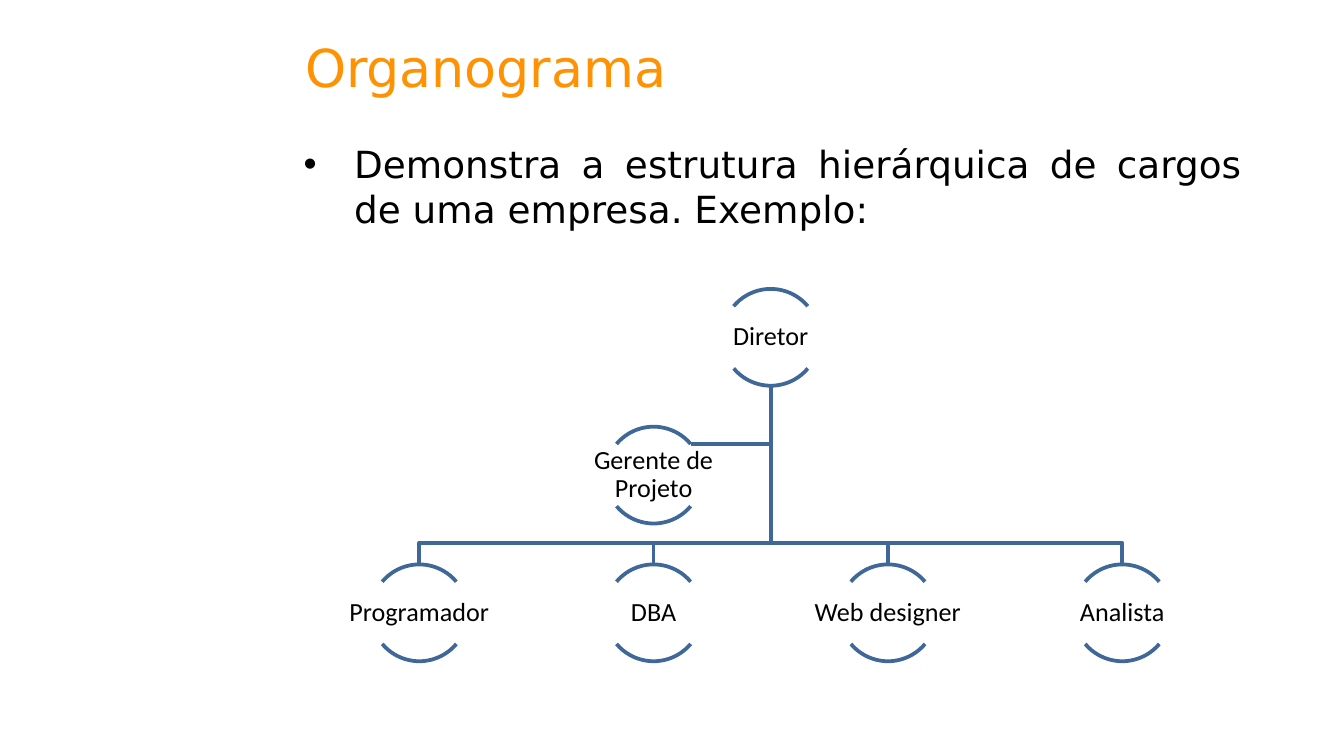
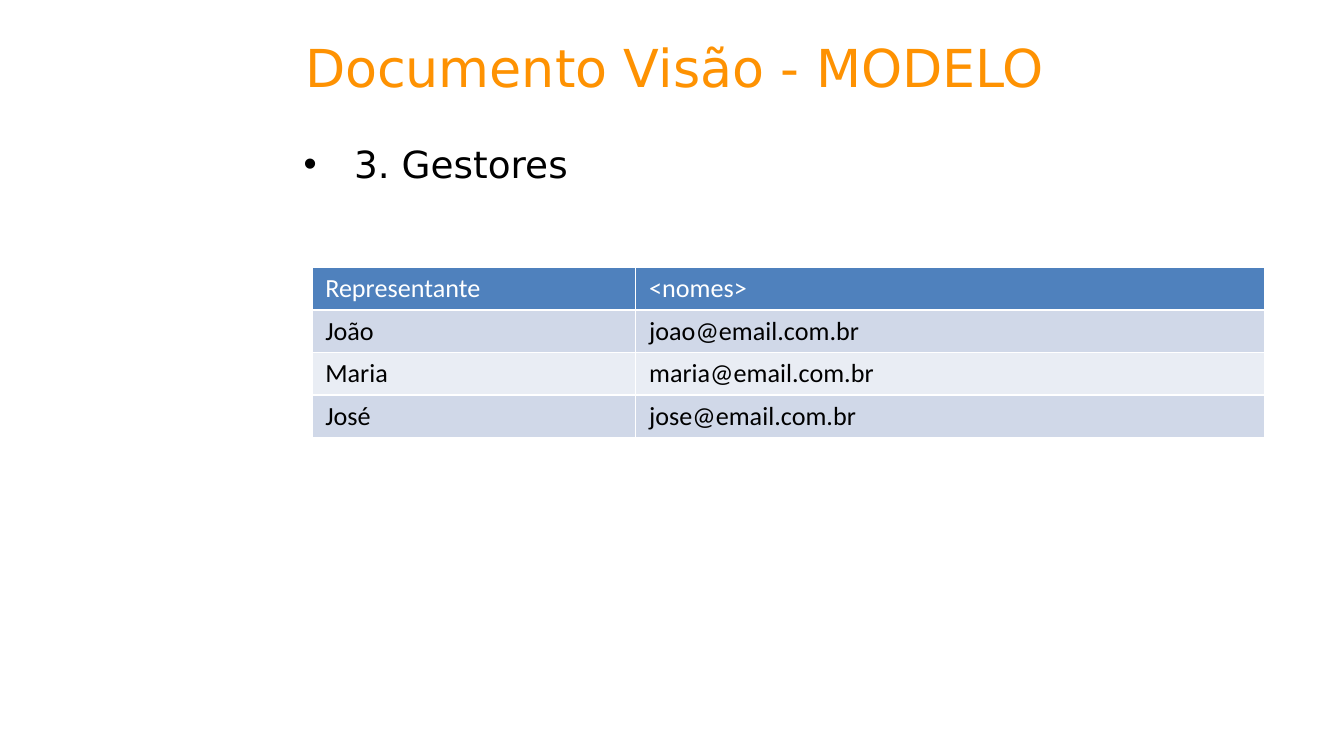
import dataclasses
import math

import pptx
import pptx.dml.color
import pptx.enum.shapes
import pptx.enum.text
import pptx.oxml
import pptx.oxml.ns
import pptx.util

Inches = pptx.util.Inches
Pt = pptx.util.Pt
Align = pptx.enum.text.PP_ALIGN
Anchor = pptx.enum.text.MSO_ANCHOR


@dataclasses.dataclass(frozen=True)
class Theme:
    heading_font: str = "DejaVu Sans"
    label_font: str = "Calibri"
    title_size: int = 28
    body_size: int = 20
    label_size: int = 14
    title_color: str = "FE9202"
    text_color: str = "000000"
    line_color: str = "3F6797"
    line_width: int = 2
    header_fill: str = "4F81BD"
    header_text: str = "FFFFFF"
    band_fills: tuple = ("D0D8E8", "E9EDF4")
    border_color: str = "FFFFFF"
    border_width: int = 1


@dataclasses.dataclass(frozen=True)
class Box:
    left: float
    top: float
    width: float
    height: float

    def lengths(self):
        return [Inches(value) for value in dataclasses.astuple(self)]


THEME = Theme()
SLIDE_WIDTH = 10
SLIDE_HEIGHT = SLIDE_WIDTH * 9 / 16
TITLE_BOX = Box(2.17, 0.21, 7.18, 0.63)
BODY_BOX = Box(2.16, 1, 7.18, 3.98)
CHART_BOX = Box(2.4, 2.15, 6.67, 2.77)
TABLE_BOX = Box(2.32, 1.99, 7.09, 1.23)

CIRCLE = 0.72
LABEL_WIDTH, LABEL_HEIGHT = 1.44, 0.46
BUS_GAP = 0.16
ARC_SPANS = ((220, 320), (40, 140))
ARC_UNITS_PER_DEGREE = 0.6


def rgb(color):
    return pptx.dml.color.RGBColor.from_string(color)


def write_text(text_frame, text, *, size, font=THEME.label_font,
               color=THEME.text_color, align=Align.LEFT, line_spacing=None):
    paragraph = text_frame.paragraphs[0]
    paragraph.alignment = align
    if line_spacing:
        paragraph.line_spacing = line_spacing
    run = paragraph.add_run()
    run.text = text
    run.font.size = Pt(size)
    run.font.name = font
    run.font.bold = False
    run.font.color.rgb = rgb(color)


def place(shape, box):
    shape.left, shape.top, shape.width, shape.height = box.lengths()


def add_content_slide(presentation, title, item):
    slide = presentation.slides.add_slide(presentation.slide_layouts[1])
    heading, body = slide.shapes.title, slide.placeholders[1]
    place(heading, TITLE_BOX)
    place(body, BODY_BOX)
    for placeholder in (heading, body):
        placeholder.text_frame.auto_size = pptx.enum.text.MSO_AUTO_SIZE.NONE
        placeholder.text_frame.vertical_anchor = Anchor.TOP
    write_text(heading.text_frame, title, size=THEME.title_size,
               font=THEME.heading_font, color=THEME.title_color)
    write_text(body.text_frame, item, size=THEME.body_size,
               font=THEME.heading_font, align=Align.JUSTIFY)
    return slide


def style_outline(shape):
    shape.shadow.inherit = False
    shape.fill.background()
    shape.line.color.rgb = rgb(THEME.line_color)
    shape.line.width = Pt(THEME.line_width)


def add_branch(shapes, points):
    start, *rest = [(Inches(x), Inches(y)) for x, y in points]
    builder = shapes.build_freeform(*start)
    builder.add_line_segments(rest, close=False)
    style_outline(builder.convert_to_shape())


def add_position(shapes, center, top, name):
    circle = Box(center - CIRCLE / 2, top, CIRCLE, CIRCLE)
    for span in ARC_SPANS:
        arc = shapes.add_shape(pptx.enum.shapes.MSO_SHAPE.ARC, *circle.lengths())
        for index, angle in enumerate(span):
            arc.adjustments[index] = angle * ARC_UNITS_PER_DEGREE
        style_outline(arc)
    label = Box(center - LABEL_WIDTH / 2, top + (CIRCLE - LABEL_HEIGHT) / 2,
                LABEL_WIDTH, LABEL_HEIGHT)
    text_frame = shapes.add_textbox(*label.lengths()).text_frame
    text_frame.word_wrap = True
    text_frame.vertical_anchor = Anchor.MIDDLE
    for side in ("left", "top", "right", "bottom"):
        setattr(text_frame, f"margin_{side}", Inches(0.01))
    write_text(text_frame, name, size=THEME.label_size,
               align=Align.CENTER, line_spacing=0.9)


def add_organization_chart(slide, box, director, assistant, team):
    shapes = slide.shapes.add_group_shape().shapes
    pitch = (box.width - LABEL_WIDTH) / (len(team) - 1)
    centers = [box.left + LABEL_WIDTH / 2 + index * pitch
               for index in range(len(team))]
    middle = box.left + box.width / 2
    level = (box.height - CIRCLE) / 2
    assistant_top, team_top = box.top + level, box.top + 2 * level
    trunk = (middle, box.top + CIRCLE)

    arc_end = math.radians(ARC_SPANS[0][1])
    joint_x = centers[1] + CIRCLE / 2 * math.cos(arc_end)
    joint_y = assistant_top + CIRCLE / 2 * (1 + math.sin(arc_end))
    add_branch(shapes, [trunk, (middle, joint_y), (joint_x, joint_y)])
    bus = team_top - BUS_GAP
    for center in reversed(centers):
        add_branch(shapes, [trunk, (middle, bus), (center, bus), (center, team_top)])

    add_position(shapes, middle, box.top, director)
    for center, name in zip(centers, team):
        add_position(shapes, center, team_top, name)
    add_position(shapes, centers[1], assistant_top, assistant)


def set_borders(cell):
    properties = cell._tc.get_or_add_tcPr()
    for side in "LRTB":
        properties.append(pptx.oxml.parse_xml(
            f'<a:ln{side} {pptx.oxml.ns.nsdecls("a")} w="{Pt(THEME.border_width)}">'
            f'<a:solidFill><a:srgbClr val="{THEME.border_color}"/></a:solidFill>'
            f'</a:ln{side}>'))


def add_contact_table(slide, box, column_widths, rows):
    frame = slide.shapes.add_table(len(rows), len(column_widths), *box.lengths())
    table = frame.table
    table.horz_banding = False
    for column, width in zip(table.columns, column_widths):
        column.width = Inches(width)
    for row_index, values in enumerate(rows):
        is_header = row_index == 0
        table.rows[row_index].height = Inches(box.height / len(rows))
        fill = THEME.header_fill if is_header else THEME.band_fills[(row_index - 1) % 2]
        color = THEME.header_text if is_header else THEME.text_color
        for column_index, value in enumerate(values):
            cell = table.cell(row_index, column_index)
            set_borders(cell)
            cell.fill.solid()
            cell.fill.fore_color.rgb = rgb(fill)
            cell.margin_left = cell.margin_right = Inches(0.1)
            cell.margin_top = cell.margin_bottom = Inches(0.04)
            write_text(cell.text_frame, value, size=THEME.label_size, color=color)


def main():
    presentation = pptx.Presentation()
    presentation.slide_width = Inches(SLIDE_WIDTH)
    presentation.slide_height = Inches(SLIDE_HEIGHT)

    slide = add_content_slide(
        presentation, "Organograma",
        "Demonstra a estrutura hierárquica de cargos de uma empresa. Exemplo:")
    add_organization_chart(slide, CHART_BOX, "Diretor", "Gerente de Projeto",
                           ("Programador", "DBA", "Web designer", "Analista"))

    slide = add_content_slide(presentation, "Documento Visão - MODELO", "3. Gestores")
    add_contact_table(slide, TABLE_BOX, (2.41, 4.68), (
        ("Representante", "<nomes>"),
        ("João", "joao@email.com.br"),
        ("Maria", "maria@email.com.br"),
        ("José", "jose@email.com.br"),
    ))

    presentation.save("out.pptx")


if __name__ == "__main__":
    main()
